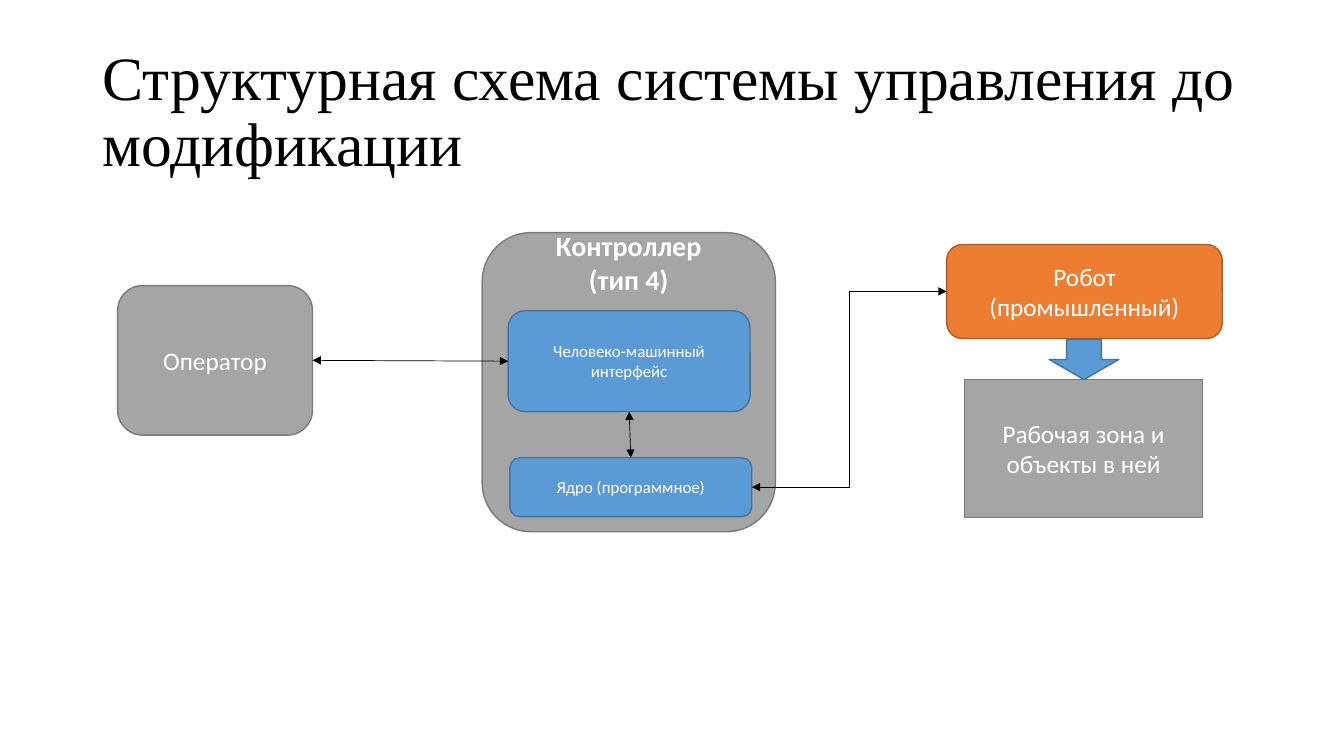
"""Build the slide with the control system block diagram."""
from dataclasses import dataclass

from lxml.etree import SubElement
from pptx import Presentation
from pptx.dml.color import RGBColor as Rgb
from pptx.enum.shapes import MSO_CONNECTOR as Link, MSO_SHAPE as Kind
from pptx.enum.text import MSO_ANCHOR as Anchor, PP_ALIGN as Align
from pptx.oxml.ns import qn
from pptx.util import Inches, Pt

TITLE = "Структурная схема системы управления до модификации"
FRAME = (11, 4.8, 138, 17.4)

BLOCKS = {
    "operator": (Kind.FLOWCHART_ALTERNATE_PROCESS, (14, 34, 23.2, 17.8),
                 "gray", "body", ["Оператор"]),
    "control": (Kind.ROUNDED_RECTANGLE, (57.4, 27.7, 34.9, 35.6),
                "gray", "head", ["Контроллер", "(тип 4)"]),
    "panel": (Kind.FLOWCHART_ALTERNATE_PROCESS, (60.5, 37, 28.8, 12),
              "blue", "small", ["Человеко-машинный", "интерфейс"]),
    "kernel": (Kind.FLOWCHART_ALTERNATE_PROCESS, (60.7, 54.5, 28.8, 7),
               "blue", "small", ["Ядро (программное)"]),
    "robot": (Kind.FLOWCHART_ALTERNATE_PROCESS, (112.7, 29.1, 32.8, 11.2),
              "orange", "body", ["Робот (промышленный)"]),
    "zone": (Kind.RECTANGLE, (114.8, 45.2, 28.4, 16.4),
             "gray", "body", ["Рабочая зона и объекты в ней"]),
    "arrow": (Kind.DOWN_ARROW, (124.9, 40.4, 8.3, 4.8), "blue", "body", []),
}

TOP, LEFT, BOTTOM, RIGHT = range(4)
LINKS = [
    (Link.STRAIGHT, "kernel", TOP, "panel", BOTTOM),
    (Link.ELBOW, "kernel", RIGHT, "robot", LEFT),
    (Link.STRAIGHT, "operator", RIGHT, "panel", LEFT),
]


@dataclass(frozen=True)
class Theme:
    """Colours, fonts and sizes."""
    gray: tuple = ("A5A5A5", "7A7A7A")
    blue: tuple = ("5B9BD5", "43739E")
    orange: tuple = ("ED7D31", "AF5C24")
    ink: str = "000000"
    paper: str = "FFFFFF"
    serif: str = "Times New Roman"
    sans: str = "Calibri"
    title: int = 44
    head: int = 20
    body: int = 18
    small: int = 12
    edge: float = 1
    wire: float = 0.5


LOOK = Theme()
COLS, ROWS = 160, 90
WIDE, HIGH = Inches(13.33), Inches(7.5)


def place(box):
    x, y, w, h = box
    return [int(n) for n in (x * WIDE / COLS, y * HIGH / ROWS,
                             w * WIDE / COLS, h * HIGH / ROWS)]


def style(par, face, size, tint, align):
    par.alignment = align
    for run in par.runs:
        run.font.name = face
        run.font.size = Pt(size)
        run.font.color.rgb = Rgb.from_string(tint)


def add_title(slide):
    title = slide.shapes.title
    title.left, title.top, title.width, title.height = place(FRAME)
    frame = title.text_frame
    frame.text = TITLE
    frame.word_wrap = True
    frame.vertical_anchor = Anchor.MIDDLE
    par = frame.paragraphs[0]
    par.line_spacing = 0.9
    style(par, LOOK.serif, LOOK.title, LOOK.ink, Align.LEFT)


def add_block(slide, kind, box, tone, level, lines):
    block = slide.shapes.add_shape(kind, *place(box))
    block.shadow.inherit = False
    fill, edge = getattr(LOOK, tone)
    block.fill.solid()
    block.fill.fore_color.rgb = Rgb.from_string(fill)
    block.line.color.rgb = Rgb.from_string(edge)
    block.line.width = Pt(LOOK.edge)
    frame = block.text_frame
    frame.word_wrap = True
    frame.vertical_anchor = Anchor.MIDDLE
    frame.text = "\n".join(lines)
    for par in frame.paragraphs:
        style(par, LOOK.sans, getattr(LOOK, level), LOOK.paper, Align.CENTER)
        par.font.bold = level == "head"
    if level == "head":
        frame.margin_top = 0
        frame.margin_bottom = int(0.8 * block.height)
    return block


def add_link(slide, parts, kind, start, out, end, into):
    wire = slide.shapes.add_connector(kind, 0, 0, 0, 0)
    wire.begin_connect(parts[start], out)
    wire.end_connect(parts[end], into)
    wire.line.color.rgb = Rgb.from_string(LOOK.ink)
    wire.line.width = Pt(LOOK.wire)
    line = wire.line._get_or_add_ln()
    for tip in ("a:headEnd", "a:tailEnd"):
        SubElement(line, qn(tip), type="triangle")
    SubElement(wire._element.spPr, qn("a:effectLst"))


def main():
    deck = Presentation()
    deck.slide_width, deck.slide_height = WIDE, HIGH
    slide = deck.slides.add_slide(deck.slide_layouts[5])
    add_title(slide)
    parts = {name: add_block(slide, *item) for name, item in BLOCKS.items()}
    for item in LINKS:
        add_link(slide, parts, *item)
    deck.save("out.pptx")


if __name__ == "__main__":
    main()
